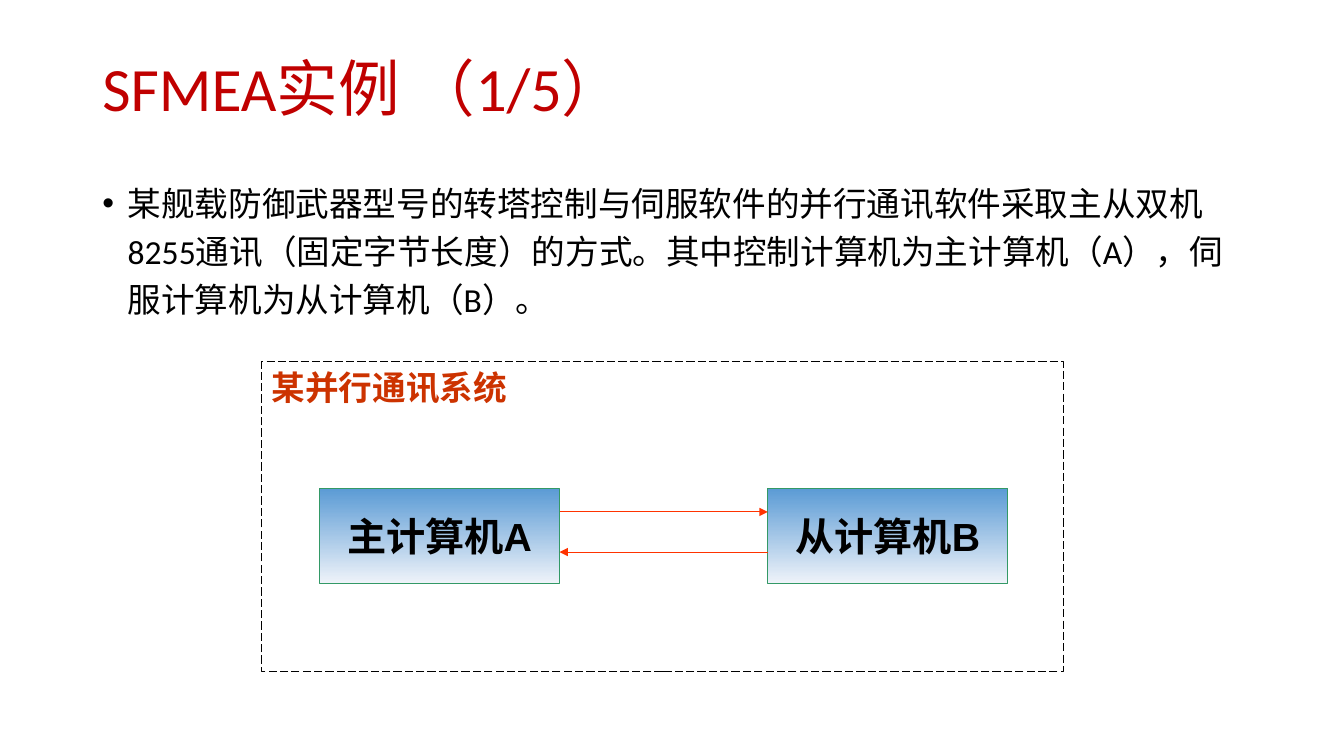
from pptx import Presentation
from pptx.dml.color import RGBColor
from pptx.enum.dml import MSO_LINE
from pptx.enum.shapes import MSO_CONNECTOR, MSO_SHAPE
from pptx.enum.text import MSO_ANCHOR, PP_ALIGN
from pptx.oxml.ns import qn
from pptx.util import Cm, Pt
from lxml import etree

DARK_RED = RGBColor(0xC0, 0x00, 0x00)
BLACK = RGBColor(0x00, 0x00, 0x00)
BLUE = RGBColor(0x5B, 0x9B, 0xD5)
PALE_BLUE = RGBColor(0xEF, 0xF3, 0xF9)
GREEN = RGBColor(0x33, 0x99, 0x66)
ORANGE = RGBColor(0xFF, 0x33, 0x00)
RUST = RGBColor(0xCC, 0x33, 0x00)


def write(shape, text, font_name, size, color, bold=False):
    shape.text_frame.text = text
    paragraph = shape.text_frame.paragraphs[0]
    font = paragraph.runs[0].font
    font.name = font_name
    font.size = Pt(size)
    font.color.rgb = color
    font.bold = bold
    return paragraph


prs = Presentation()
prs.slide_width = Cm(33.87)
prs.slide_height = Cm(19.05)
slide = prs.slides.add_slide(prs.slide_layouts[6])
shapes = slide.shapes

title = shapes.add_textbox(Cm(2.33), Cm(1.01), Cm(29.21), Cm(2.6))
title.text_frame.word_wrap = True
title.text_frame.vertical_anchor = MSO_ANCHOR.MIDDLE
write(title, "SFMEA实例 （1/5）", "Calibri", 44, DARK_RED).line_spacing = 0.9

description = shapes.add_textbox(Cm(2.33), Cm(4.27), Cm(29.21), Cm(5.54))
description.text_frame.word_wrap = True
paragraph = write(
    description,
    "某舰载防御武器型号的转塔控制与伺服软件的并行通讯软件采取主从双机8255通讯（固定字节长度）的方式。"
    "其中控制计算机为主计算机（A），伺服计算机为从计算机（B）。",
    "Calibri", 24, BLACK)
paragraph.line_spacing = 1.2
properties = paragraph._p.get_or_add_pPr()
properties.set("marL", str(Cm(0.64)))
properties.set("indent", str(-Cm(0.64)))
etree.SubElement(properties, qn("a:buFont")).set("typeface", "Arial")
etree.SubElement(properties, qn("a:buChar")).set("char", "•")

computers = []
for name, left in (("主计算机A", 8.05), ("从计算机B", 19.35)):
    computer = shapes.add_shape(MSO_SHAPE.RECTANGLE, Cm(left), Cm(12.31), Cm(6.05), Cm(2.4))
    computer.shadow.inherit = False
    computer.fill.gradient()
    computer.fill.gradient_angle = 270
    for stop, position, color in zip(computer.fill.gradient_stops, (0, 1), (BLUE, PALE_BLUE)):
        stop.position = position
        stop.color.rgb = color
    computer.line.color.rgb = GREEN
    computer.line.width = Pt(0.75)
    computer.text_frame.word_wrap = False
    computer.text_frame.vertical_anchor = MSO_ANCHOR.MIDDLE
    write(computer, name, "Arial", 28, BLACK, True).alignment = PP_ALIGN.CENTER
    computers.append(computer)

system = shapes.add_shape(MSO_SHAPE.RECTANGLE, Cm(6.6), Cm(9.12), Cm(20.2), Cm(7.8))
system.shadow.inherit = False
system.fill.background()
system.line.color.rgb = BLACK
system.line.width = Pt(0.75)
system.line.dash_style = MSO_LINE.LONG_DASH

system_label = shapes.add_textbox(system.left, system.top, Cm(6.45), Cm(1.27))
system_label.text_frame.word_wrap = False
write(system_label, "某并行通讯系统", "Arial", 24, RUST, True)

master, slave = computers
master_edge = master.left + master.width
for start, end, height in ((master_edge, slave.left, Cm(12.9)), (slave.left, master_edge, Cm(13.91))):
    message = shapes.add_connector(MSO_CONNECTOR.STRAIGHT, start, height, end, height)
    message.line.color.rgb = ORANGE
    message.line.width = Pt(0.75)
    etree.SubElement(message.line._get_or_add_ln(), qn("a:tailEnd")).set("type", "triangle")
    etree.SubElement(message._element.spPr, qn("a:effectLst"))

prs.save("out.pptx")
